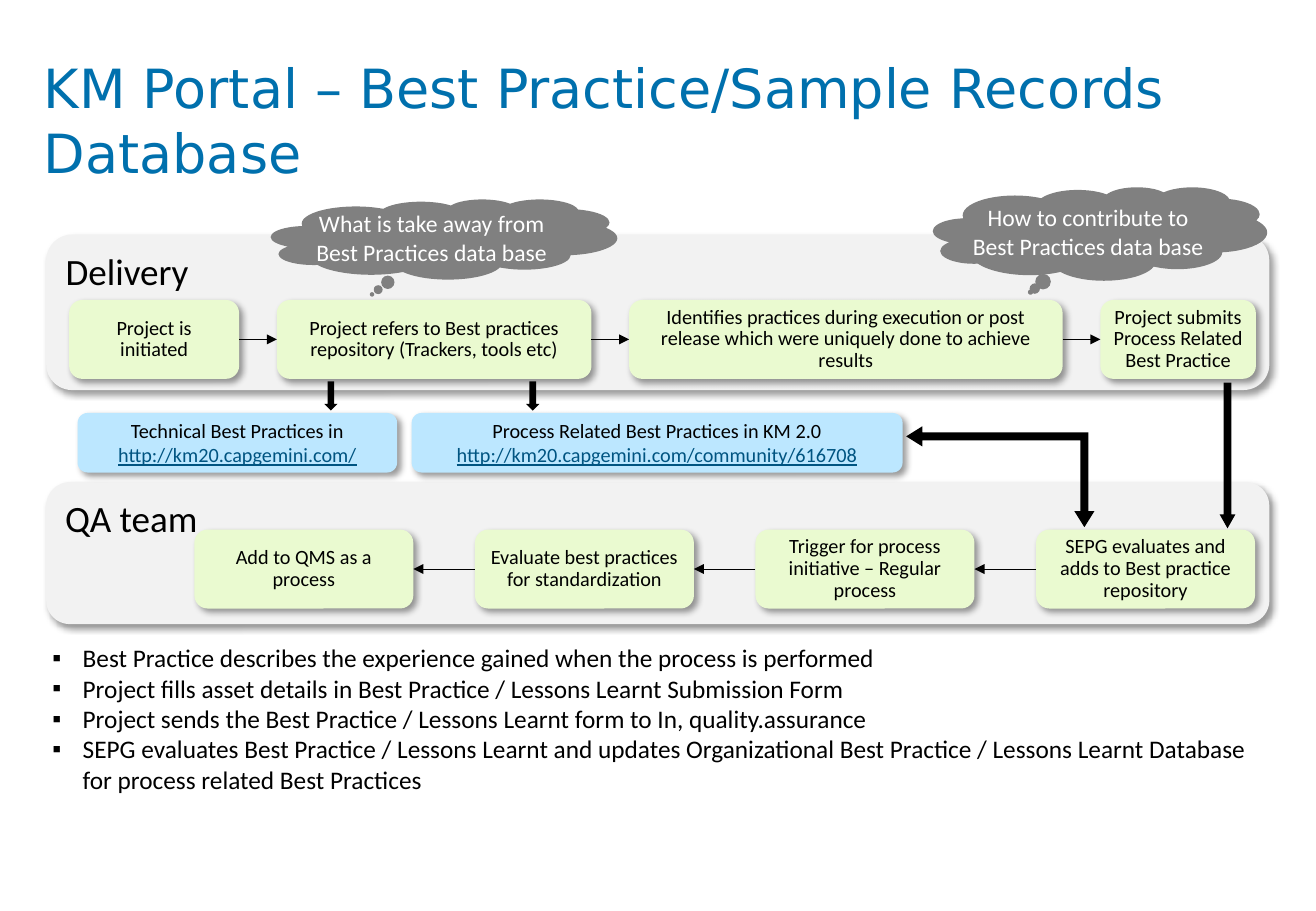
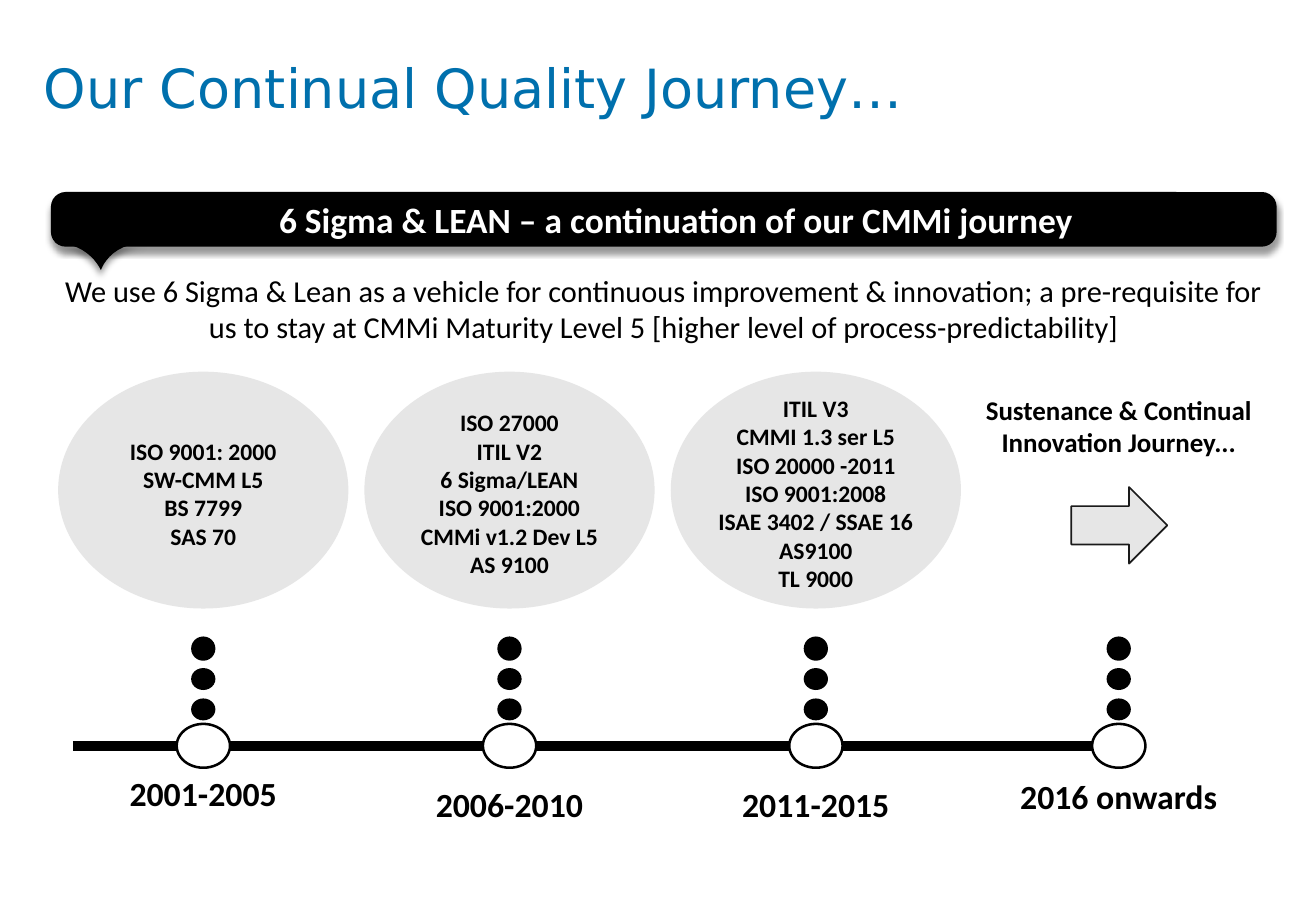
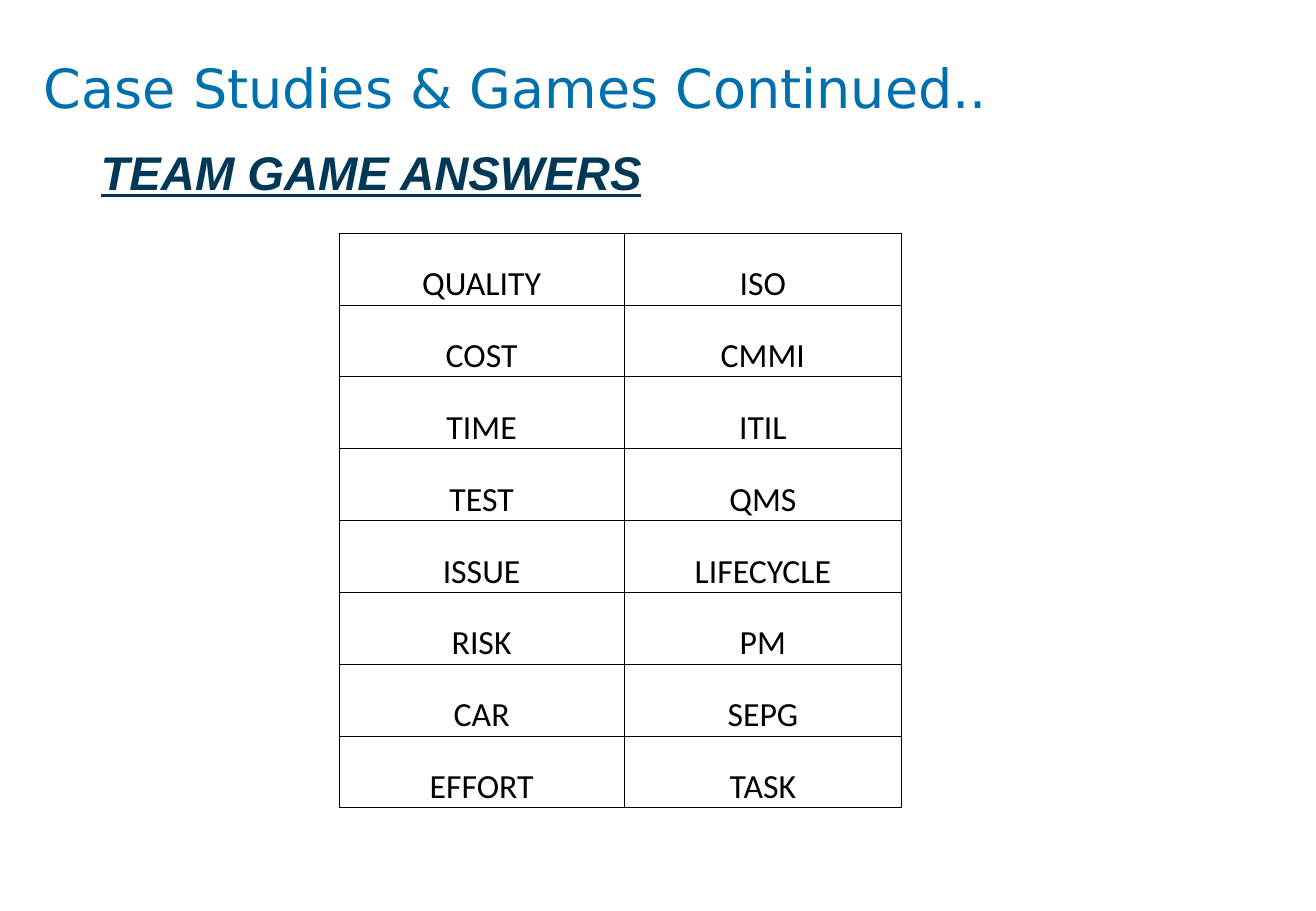
"""Build three quality-management slides: a process map, a timeline and a table."""
from lxml import etree
from pptx import Presentation
from pptx.dml.color import RGBColor
from pptx.enum.shapes import MSO_CONNECTOR, MSO_SHAPE
from pptx.enum.text import MSO_ANCHOR, MSO_AUTO_SIZE, PP_ALIGN
from pptx.oxml.ns import qn
from pptx.util import Pt

LEFT, CENTER = PP_ALIGN.LEFT, PP_ALIGN.CENTER
TOP, MIDDLE, BOTTOM = MSO_ANCHOR.TOP, MSO_ANCHOR.MIDDLE, MSO_ANCHOR.BOTTOM
NO_FIT = MSO_AUTO_SIZE.NONE
STRAIGHT = MSO_CONNECTOR.STRAIGHT
ROUNDED, OVAL = MSO_SHAPE.ROUNDED_RECTANGLE, MSO_SHAPE.OVAL
CLOUD, DOWN_ARROW = MSO_SHAPE.CLOUD_CALLOUT, MSO_SHAPE.DOWN_ARROW
LEFT_UP_ARROW, RIGHT_ARROW = MSO_SHAPE.LEFT_UP_ARROW, MSO_SHAPE.RIGHT_ARROW

BLACK, WHITE, TITLE_BLUE, NAVY, LINK = "000000", "FFFFFF", "0070AD", "003856", "005481"
PANEL, GREEN, SKY, CLOUD_GRAY, PALE = "F2F2F2", "EAFAD0", "BCE7FF", "808080", "E6E6E6"
MARGINS = (7.2, 3.6, 7.2, 3.6)
TITLE_BOX = (26, 32.4, 728, 67.7)

PANELS = [("QA team", 285.8, 84.2), ("Delivery", 139, 92.2)]
CLOUDS = [
    (["What is take away from", "Best Practices data base"],
     (160.6, 118.1, 205.2, 47.5), (-0.208, 0.688)),
    (["How to contribute to", "Best Practices data base"],
     (553, 110.9, 198, 55.4), (-0.208, 0.625)),
]
DELIVERY_STEPS = [
    ("Project is initiated", 100.8, MARGINS),
    ("Project refers to Best practices repository (Trackers, tools etc)", 186.5, MARGINS),
    ("Identifies practices during execution or post release which were uniquely "
     "done to achieve results", 257, MARGINS),
    ("Project submits Process Related Best Practice", 92.2, (0, 3.6, 0, 3.6)),
]
QA_STEPS = [(text, 129.8, MARGINS) for text in (
    "Add to QMS as a process",
    "Evaluate best practices for standardization",
    "Trigger for process initiative – Regular process",
    "SEPG evaluates and adds to Best practice repository",
)]
REPOSITORIES = [
    ("Process Related Best Practices in KM 2.0",
     "http://km20.capgemini.com/community/616708", 244, 291),
    ("Technical Best Practices in", "http://km20.capgemini.com/", 46, 189.4),
]
DOWN_ARROWS = [
    ((192.2, 226.1, 7.9, 17.3), (0.5, 0.5)),
    ((311.8, 226.1, 7.9, 17.3), (0.5, 0.5)),
    ((722.9, 226.8, 9.4, 86.4), (0.5, 0.88)),
]
BULLETS = [
    "Best Practice describes the experience gained when the process is performed",
    "Project fills asset details in Best Practice / Lessons Learnt Submission Form",
    "Project sends the Best Practice / Lessons Learnt form to In, quality.assurance",
    "SEPG evaluates Best Practice / Lessons Learnt and updates Organizational Best "
    "Practice / Lessons Learnt Database for process related Best Practices",
]
STAGES = [
    ("2001-2005", 120.5, 454.3, ["ISO 9001: 2000", "SW-CMM L5", "BS 7799", "SAS 70"]),
    ("2006-2010", 302, 460.8, ["ISO 27000", "ITIL V2", "6 Sigma/LEAN", "ISO 9001:2000",
                               "CMMi v1.2 Dev L5", "AS 9100"]),
    ("2011-2015", 483.6, 460.8, ["ITIL V3", "CMMI 1.3 ser L5", "ISO 20000 -2011",
                                 "ISO 9001:2008", "ISAE 3402 / SSAE 16", "AS9100",
                                 "TL 9000"]),
    ("2016 onwards", 663.1, 456.5, []),
]
DOTS = [(377.3, 14.4), (396, 13), (414, 13)]
POINTER_CURVES = [
    [(32.4, 144), (53.3, 144), (59.8, 160.2), (59.8, 160.2)],
    [(59.8, 160.2), (59.8, 160.2), (64.8, 144), (86.4, 144)],
]
ANSWERS = [
    ("QUALITY", "ISO"), ("COST", "CMMI"), ("TIME", "ITIL"), ("TEST", "QMS"),
    ("ISSUE", "LIFECYCLE"), ("RISK", "PM"), ("CAR", "SEPG"), ("EFFORT", "TASK"),
]


def rgb(value):
    """Turn a hex string into a colour."""
    return RGBColor.from_string(value)


def add_xml(parent, tag, **attributes):
    """Append a drawing element to a parent and return it."""
    return etree.SubElement(parent, qn(tag), attributes)


def write_text(frame, items, size=12, color=BLACK, font="Calibri", bold=False, italic=False,
               underline=False, align=CENTER, spacing=1.0, bullet=None):
    """Write one paragraph per item; an item may be (text, colour) for a link."""
    for index, item in enumerate(items):
        text, link = item if isinstance(item, tuple) else (item, None)
        paragraph = frame.paragraphs[0] if index == 0 else frame.add_paragraph()
        if bullet:
            properties = paragraph._p.get_or_add_pPr()
            properties.set("marL", str(Pt(18)))
            properties.set("indent", str(-Pt(18)))
            add_xml(add_xml(properties, "a:buClr"), "a:srgbClr", val=color)
            add_xml(properties, "a:buChar", char=bullet)
        paragraph.alignment = align
        paragraph.line_spacing = spacing
        paragraph.space_before = Pt(0)
        run = paragraph.add_run()
        run.text = text
        run.font.name = font
        run.font.size = Pt(size)
        run.font.bold = bold
        run.font.italic = italic
        run.font.underline = underline or link is not None
        run.font.color.rgb = rgb(link or color)


def fill_frame(shape, items, anchor=MIDDLE, margins=MARGINS, wrap=True, **text_format):
    """Set up the text frame of a shape and write its text."""
    frame = shape.text_frame
    frame.auto_size = NO_FIT
    frame.word_wrap = wrap
    frame.vertical_anchor = anchor
    frame.margin_left, frame.margin_top, frame.margin_right, frame.margin_bottom = map(Pt, margins)
    write_text(frame, items, **text_format)


def place(shape, box):
    """Move and size a shape."""
    shape.left, shape.top, shape.width, shape.height = map(Pt, box)


def paint(shape, fill, line=None, line_width=1, shadow_angle=None):
    """Set the fill, the outline and an optional soft shadow."""
    shape.fill.solid()
    shape.fill.fore_color.rgb = rgb(fill)
    if line:
        shape.line.color.rgb = rgb(line)
        shape.line.width = Pt(line_width)
    else:
        shape.line.fill.background()
    shape.shadow.inherit = False
    if shadow_angle is not None:
        effects = shape.element.spPr.find(qn("a:effectLst"))
        shadow = add_xml(effects, "a:outerShdw", blurRad=str(Pt(4)), dist=str(Pt(3)),
                         dir=str(shadow_angle * 60000), algn="tl", rotWithShape="0")
        add_xml(add_xml(shadow, "a:srgbClr", val=BLACK), "a:alpha", val="40000")


def add_box(slide, kind, box, fill, adjustments=(), **look):
    """Add a painted preset shape."""
    shape = slide.shapes.add_shape(kind, *map(Pt, box))
    for index, value in enumerate(adjustments):
        shape.adjustments[index] = value
    paint(shape, fill, **look)
    return shape


def add_label(slide, box, items, **text_format):
    """Add a text box."""
    fill_frame(slide.shapes.add_textbox(*map(Pt, box)), items, anchor=TOP, **text_format)


def add_line(slide, start, end, width, arrow=False):
    """Add a black straight connector without a shadow."""
    connector = slide.shapes.add_connector(STRAIGHT, *map(Pt, start + end))
    connector.line.color.rgb = rgb(BLACK)
    connector.line.width = Pt(width)
    properties = connector.element.spPr
    if arrow:
        add_xml(properties.find(qn("a:ln")), "a:tailEnd", type="triangle")
    add_xml(properties, "a:effectLst")
    return connector


def add_titled_slide(presentation, layout, title):
    """Add a slide with the shared title style."""
    slide = presentation.slides.add_slide(presentation.slide_layouts[layout])
    place(slide.shapes.title, TITLE_BOX)
    fill_frame(slide.shapes.title, [title], anchor=TOP, margins=(0, 0, 0, 0), size=32,
               color=TITLE_BLUE, font="DejaVu Sans", align=LEFT)
    return slide


def add_chain(slide, steps, left, top, gap, backwards=False):
    """Add a row of step boxes joined by arrows."""
    boxes = []
    for text, width, margins in steps:
        box = add_box(slide, ROUNDED, (left, top, width, 46.8), GREEN, shadow_angle=45)
        fill_frame(box, [text], margins=margins, spacing=0.9)
        boxes.append(box)
        left += width + gap
    for first, second in zip(boxes, boxes[1:]):
        connector = add_line(slide, (0, 0), (0, 0), 0.5, arrow=True)
        if backwards:
            connector.begin_connect(second, 1)
            connector.end_connect(first, 3)
        else:
            connector.begin_connect(first, 3)
            connector.end_connect(second, 1)


def build_process_slide(presentation):
    """Build the best practice process map."""
    slide = add_titled_slide(presentation, 1, "KM Portal – Best Practice/Sample Records Database")
    body = slide.placeholders[1]
    place(body, (23.8, 377.3, 726.5, 98))
    fill_frame(body, BULLETS, anchor=TOP, size=15, align=LEFT, bullet="▪")
    for name, top, height in PANELS:
        panel = add_box(slide, ROUNDED, (27.4, top, 725, height), PANEL, shadow_angle=45)
        fill_frame(panel, [name], anchor=TOP, size=22, align=LEFT)
    for lines, box, tail in CLOUDS:
        cloud = add_box(slide, CLOUD, box, CLOUD_GRAY, tail)
        fill_frame(cloud, lines, wrap=False, size=14, color=WHITE)
    add_chain(slide, DELIVERY_STEPS, 41, 177.8, 22.3)
    add_chain(slide, QA_STEPS, 115.2, 313.9, 36.5, backwards=True)
    elbow = add_box(slide, LEFT_UP_ARROW, (563, 226.8, 59.8, 111.6), BLACK, (0.08, 0.1, 0.16))
    elbow.rotation = 270
    for name, address, left, width in REPOSITORIES:
        box = add_box(slide, ROUNDED, (left, 244.8, width, 35.3), SKY, shadow_angle=45)
        fill_frame(box, [name, (address, LINK)])
    for box, adjustments in DOWN_ARROWS:
        add_box(slide, DOWN_ARROW, box, BLACK, adjustments)


def curve_points(curve, steps=12):
    """List points along a cubic curve, leaving out its start."""
    points = []
    for step in range(1, steps + 1):
        t = step / steps
        weights = ((1 - t) ** 3, 3 * t * (1 - t) ** 2, 3 * t * t * (1 - t), t ** 3)
        points.append(tuple(Pt(sum(w * point[axis] for w, point in zip(weights, curve)))
                            for axis in (0, 1)))
    return points


def build_journey_slide(presentation):
    """Build the quality journey timeline."""
    slide = add_titled_slide(presentation, 5, "Our Continual Quality Journey…")
    banner = add_box(slide, ROUNDED, (30.2, 113.8, 726.5, 32.4), BLACK, (0.27,), shadow_angle=90)
    fill_frame(banner, ["6 Sigma & LEAN – a continuation of our CMMi journey"],
               margins=(14.4, 0, 0, 0), wrap=False, size=21, color=WHITE, bold=True)
    builder = slide.shapes.build_freeform(*map(Pt, POINTER_CURVES[0][0]))
    for curve in POINTER_CURVES:
        builder.add_line_segments(curve_points(curve), close=curve is POINTER_CURVES[-1])
    paint(builder.convert_to_shape(), BLACK, shadow_angle=90)
    add_label(slide, (30.2, 157.7, 726.5, 51.1),
              ["We use 6 Sigma & Lean as a vehicle for continuous improvement & innovation; "
               "a pre-requisite for us to stay at CMMi Maturity Level 5 "
               "[higher level of process-predictability]"], size=18)
    add_label(slide, (575.3, 229.7, 175.7, 44.6),
              ["Sustenance & Continual", "Innovation Journey..."], wrap=False, size=16, bold=True)
    add_box(slide, RIGHT_ARROW, (635, 288.7, 56.9, 45.4), PALE, line="1A1A1A")
    line_start, node_width, node_height, axis = 43.2, 31.6, 26, 442.1
    for years, center, label_top, standards in STAGES:
        if standards:
            bubble = add_box(slide, OVAL, (center - 86, 220.3, 172, 140.4), PALE)
            fill_frame(bubble, standards, margins=(0, 7.2, 0, 3.6), wrap=False, size=14, bold=True)
        for top, height in DOTS:
            add_box(slide, OVAL, (center - 7.2, top, 14.4, height), BLACK)
        node_left = center - node_width / 2
        add_line(slide, (line_start, axis), (node_left, axis), 6)
        add_box(slide, OVAL, (node_left, axis - node_height / 2, node_width, node_height),
                WHITE, line=BLACK, line_width=1.5)
        line_start = node_left + node_width
        add_label(slide, (center - 65, label_top, 130, 30.2), [years], wrap=False, size=20,
                  bold=True)


def format_cell(cell, text):
    """Write a table cell with thin black borders and no fill."""
    cell.vertical_anchor = BOTTOM
    cell.margin_left = cell.margin_right = cell.margin_top = Pt(0.7)
    cell.margin_bottom = Pt(0)
    write_text(cell.text_frame, [text], size=20)
    properties = cell._tc.get_or_add_tcPr()
    for side in ("a:lnL", "a:lnR", "a:lnT", "a:lnB"):
        border = add_xml(properties, side, w=str(Pt(0.5)))
        add_xml(add_xml(border, "a:solidFill"), "a:srgbClr", val=BLACK)
    cell.fill.background()


def build_answers_slide(presentation):
    """Build the team game answer table."""
    slide = add_titled_slide(presentation, 5, "Case Studies & Games Continued..")
    add_label(slide, (52.6, 81.4, 358.6, 41), ["TEAM GAME ANSWERS"], size=28, color=NAVY,
              font="Arial", bold=True, italic=True, underline=True, align=LEFT)
    widths, row_height = (169.2, 164.2), 42.6
    table = slide.shapes.add_table(len(ANSWERS), len(widths), Pt(200.9), Pt(138.2),
                                   Pt(sum(widths)), Pt(row_height * len(ANSWERS))).table
    table.first_row = table.horz_banding = False
    for column, width in zip(table.columns, widths):
        column.width = Pt(width)
    for row, words in zip(table.rows, ANSWERS):
        row.height = Pt(row_height)
        for cell, word in zip(row.cells, words):
            format_cell(cell, word)


def main():
    """Build and save the presentation."""
    presentation = Presentation()
    presentation.slide_width, presentation.slide_height = Pt(780), Pt(540)
    build_process_slide(presentation)
    build_journey_slide(presentation)
    build_answers_slide(presentation)
    presentation.save("out.pptx")


if __name__ == "__main__":
    main()
